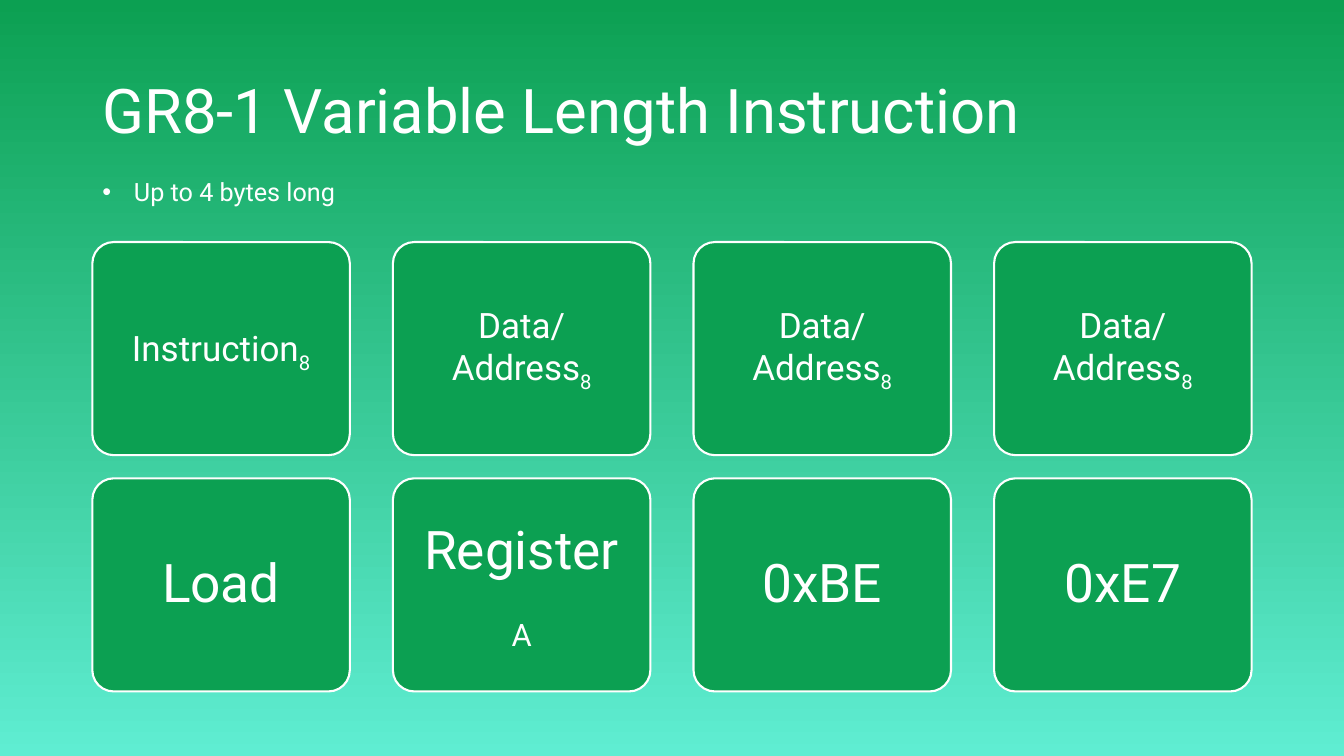
import pptx
import pptx.dml.color
import pptx.enum.shapes
import pptx.enum.text
import pptx.oxml
import pptx.oxml.ns
import pptx.util

Pt = pptx.util.Pt
ALIGN = pptx.enum.text.PP_ALIGN
ANCHOR = pptx.enum.text.MSO_ANCHOR

GREEN, MINT, WHITE = "0CA052", "5FEDD2", "FFFFFF"


def colour(code):
    return pptx.dml.color.RGBColor.from_string(code)


class InstructionSlide:
    """Holds the style and the current slide."""

    font = "Roboto"

    def __init__(self, presentation):
        self.slide = presentation.slides.add_slide(presentation.slide_layouts[1])

    def background(self, top, bottom):
        fill = self.slide.background.fill
        fill.gradient()
        fill.gradient_angle = 270
        for stop, code in zip(fill.gradient_stops, (top, bottom)):
            stop.color.rgb = colour(code)

    def style(self, paragraph, size, align, line_spacing=1.0):
        paragraph.font.name = self.font
        paragraph.font.size = Pt(size)
        paragraph.font.color.rgb = colour(WHITE)
        paragraph.alignment = align
        paragraph.line_spacing = line_spacing
        paragraph.space_before = Pt(0)

    def fill_placeholder(self, index, text, box, size, anchor, line_spacing):
        holder = self.slide.placeholders[index]
        holder.left, holder.top, holder.width, holder.height = map(Pt, box)
        frame = holder.text_frame
        frame.text = text
        frame.word_wrap = True
        frame.auto_size = pptx.enum.text.MSO_AUTO_SIZE.NONE
        frame.vertical_anchor = anchor
        self.style(frame.paragraphs[0], size, ALIGN.LEFT, line_spacing)
        return frame.paragraphs[0]

    def title(self, text, box):
        self.fill_placeholder(0, text, box, 44, ANCHOR.MIDDLE, 0.9)

    def bullet(self, text, box, indent):
        item = self.fill_placeholder(1, text, box, 18, ANCHOR.TOP, 1.0)
        properties = item._p.get_or_add_pPr()
        properties.set("marL", str(Pt(indent)))
        properties.set("indent", str(-Pt(indent)))
        mark = pptx.oxml.parse_xml(
            f'<a:buChar {pptx.oxml.ns.nsdecls("a")} char="•"/>')
        properties.find(pptx.oxml.ns.qn("a:defRPr")).addprevious(mark)

    def byte_card(self, text, subscript, box, size, inset):
        card = self.slide.shapes.add_shape(
            pptx.enum.shapes.MSO_SHAPE.ROUNDED_RECTANGLE, *map(Pt, box))
        card.adjustments[0] = 0.1
        card.shadow.inherit = False
        card.fill.solid()
        card.fill.fore_color.rgb = colour(GREEN)
        card.line.color.rgb = colour(WHITE)
        card.line.width = Pt(1.5)
        frame = card.text_frame
        frame.word_wrap = True
        frame.vertical_anchor = ANCHOR.MIDDLE
        frame.margin_left = frame.margin_right = Pt(inset)
        frame.margin_top = frame.margin_bottom = Pt(inset)
        label = frame.paragraphs[0]
        label.add_run().text = text
        if subscript:
            lowered = label.add_run()
            lowered.text = subscript
            lowered._r.get_or_add_rPr().set("baseline", "-25000")
        self.style(label, size, ALIGN.CENTER, 0.9)


def main():
    presentation = pptx.Presentation()
    presentation.slide_width, presentation.slide_height = Pt(960), Pt(540)
    slide = InstructionSlide(presentation)
    slide.background(GREEN, MINT)

    # Heading and key point
    left, width = 66, 828
    slide.title("GR8-1 Variable Length Instruction", (left, 28.75, width, 104.4))
    slide.bullet("Up to 4 bytes long", (left, 122.4, width, 51), 22.5)

    # Instruction format above, worked example below
    card_width, card_height, column_step = 183.9, 152.2, 214.7
    operand = ("Data/Address", "8")
    byte_format = [("Instruction", "8"), operand, operand, operand]
    example = [("Load", ""), ("Register", "A"), ("0xBE", ""), ("0xE7", "")]
    rows = [(172.9, 25, 7.5, byte_format), (341.7, 38, 11.4, example)]
    for top, size, inset, byte_labels in rows:
        for column, (text, subscript) in enumerate(byte_labels):
            box = (left + column * column_step, top, card_width, card_height)
            slide.byte_card(text, subscript, box, size, inset)

    presentation.save("out.pptx")


if __name__ == "__main__":
    main()
